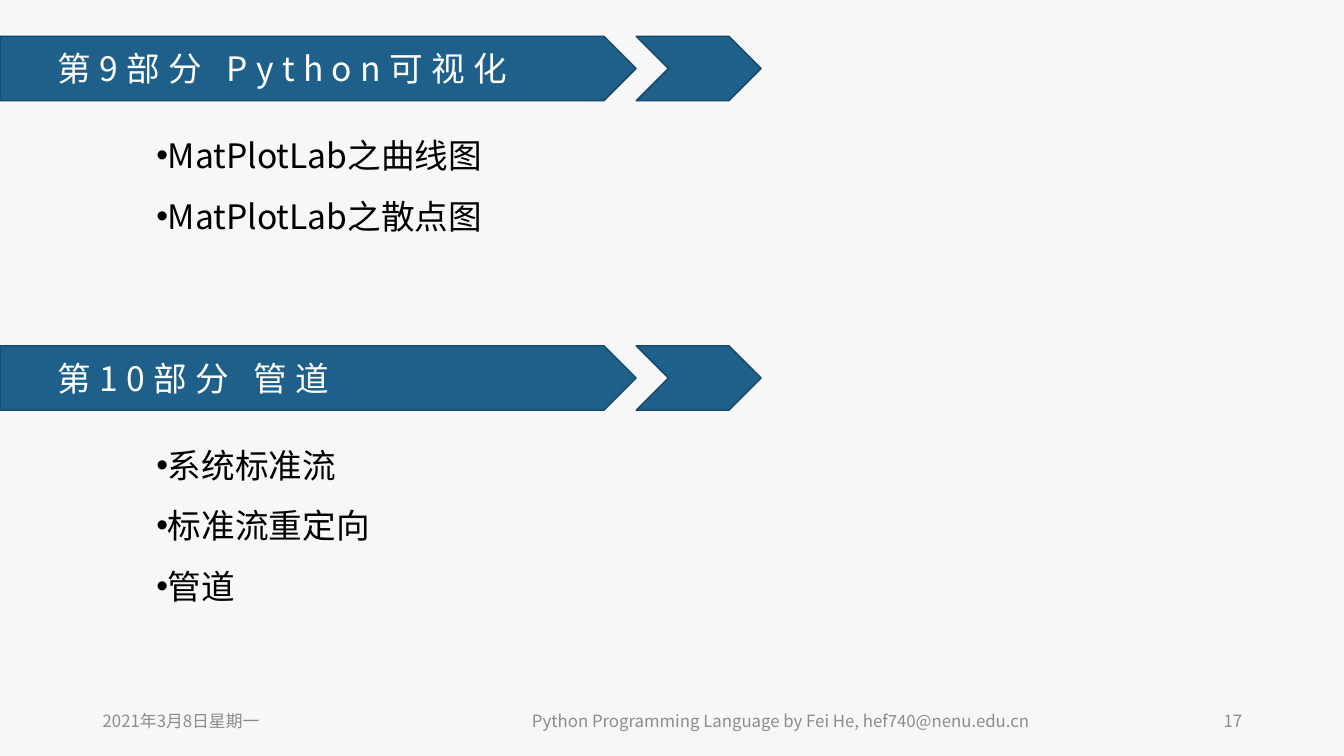
"""Build the outline slide for parts 9 and 10 of a Python course."""
from dataclasses import dataclass

import lxml.etree
import pptx
import pptx.dml.color
import pptx.enum.shapes
import pptx.enum.text
import pptx.oxml.ns
import pptx.util

EMU_PER_PX = 9144
FONT_NAME = "Noto Sans CJK SC"
COLOURS = {
    "background": "F7F7F7",
    "banner": "1F608B",
    "banner_line": "174767",
    "heading": "FFFFFF",
    "body": "000000",
    "footer": "8C8C8C",
}
ALIGN = pptx.enum.text.PP_ALIGN
ANCHOR = pptx.enum.text.MSO_ANCHOR
SHAPE = pptx.enum.shapes.MSO_SHAPE
COMPARISON_LAYOUT = 4
BANNER_WIDTH, CHEVRON_WIDTH, BANNER_HEIGHT = 631, 124, 64
HEADING_INSET = 57
LIST_LEFT, LIST_OFFSET, LIST_WIDTH, LIST_HEIGHT = 145, 73, 372, 207
BULLET_INDENT = -31
FOOTER_TOP, FOOTER_HEIGHT = 695, 40


@dataclass(frozen=True)
class Section:
    top: int
    heading: str
    topics: tuple[str, ...]
    heading_index: int
    list_index: int


@dataclass(frozen=True)
class FooterItem:
    left: int
    width: int
    text: str
    alignment: ALIGN


SECTIONS = (
    Section(36, "第9部分 Python可视化", ("MatPlotLab之曲线图", "MatPlotLab之散点图"), 0, 2),
    Section(343, "第10部分 管道", ("系统标准流", "标准流重定向", "管道"), 3, 4),
)
FOOTER_ITEMS = (
    FooterItem(92, 300, "2021年3月8日星期一", ALIGN.LEFT),
    FooterItem(442, 665, "Python Programming Language by Fei He, hef740@nenu.edu.cn", ALIGN.CENTER),
    FooterItem(942, 300, "17", ALIGN.RIGHT),
)


def px(length: int) -> pptx.util.Emu:
    return pptx.util.Emu(length * EMU_PER_PX)


def rgb(name: str) -> pptx.dml.color.RGBColor:
    return pptx.dml.color.RGBColor.from_string(COLOURS[name])


def place(shape, left: int, top: int, width: int, height: int) -> None:
    shape.left, shape.top = px(left), px(top)
    shape.width, shape.height = px(width), px(height)


def add_bullet(paragraph) -> None:
    properties = paragraph._p.get_or_add_pPr()
    properties.set("marL", "0")
    properties.set("indent", str(px(BULLET_INDENT)))
    bullet = lxml.etree.SubElement(properties, pptx.oxml.ns.qn("a:buChar"))
    bullet.set("char", "•")


def write_text(shape, *lines: str, size: int, colour: str, alignment=ALIGN.LEFT,
               anchor=ANCHOR.MIDDLE, line_spacing: float = 1.0, letter_spacing: int = 0,
               left_inset: int = 10, bulleted: bool = False) -> None:
    frame = shape.text_frame
    frame.word_wrap = True
    frame.auto_size = pptx.enum.text.MSO_AUTO_SIZE.NONE
    frame.vertical_anchor = anchor
    frame.margin_left = px(left_inset)
    for number, line in enumerate(lines):
        paragraph = frame.add_paragraph() if number else frame.paragraphs[0]
        if bulleted:
            add_bullet(paragraph)
        paragraph.alignment = alignment
        paragraph.line_spacing = line_spacing
        paragraph.space_before = pptx.util.Pt(0)
        run = paragraph.add_run()
        run.text = line
        run.font.size = pptx.util.Pt(size)
        run.font.bold = False
        run.font.name = FONT_NAME
        run.font.color.rgb = rgb(colour)
        properties = run._r.get_or_add_rPr()
        properties.set("spc", str(letter_spacing * 100))
        east_asian = lxml.etree.SubElement(properties, pptx.oxml.ns.qn("a:ea"))
        east_asian.set("typeface", FONT_NAME)


def add_banner_shape(slide, kind, left: int, top: int, width: int) -> None:
    shape = slide.shapes.add_shape(kind, px(left), px(top), px(width), px(BANNER_HEIGHT))
    shape.shadow.inherit = False
    shape.fill.solid()
    shape.fill.fore_color.rgb = rgb("banner")
    shape.line.color.rgb = rgb("banner_line")
    shape.line.width = pptx.util.Pt(1)


def add_section(slide, section: Section, placeholders: dict) -> None:
    add_banner_shape(slide, SHAPE.PENTAGON, 0, section.top, BANNER_WIDTH)
    add_banner_shape(slide, SHAPE.CHEVRON, BANNER_WIDTH, section.top, CHEVRON_WIDTH)

    heading = placeholders[section.heading_index]
    slide.shapes._spTree.append(heading._element)
    place(heading, 0, section.top, BANNER_WIDTH, BANNER_HEIGHT)
    write_text(heading, section.heading, size=24, colour="heading",
               letter_spacing=6, left_inset=HEADING_INSET)

    topics = placeholders[section.list_index]
    place(topics, LIST_LEFT, section.top + LIST_OFFSET, LIST_WIDTH, LIST_HEIGHT)
    write_text(topics, *section.topics, size=24, colour="body", anchor=ANCHOR.TOP,
               line_spacing=1.5, bulleted=True)


def add_footer_item(slide, item: FooterItem) -> None:
    box = slide.shapes.add_textbox(px(item.left), px(FOOTER_TOP), px(item.width), px(FOOTER_HEIGHT))
    write_text(box, item.text, size=12, colour="footer", alignment=item.alignment)


def main() -> None:
    presentation = pptx.Presentation()
    presentation.slide_width, presentation.slide_height = px(1333), px(750)
    slide = presentation.slides.add_slide(presentation.slide_layouts[COMPARISON_LAYOUT])
    slide.background.fill.solid()
    slide.background.fill.fore_color.rgb = rgb("background")
    placeholders = {shape.placeholder_format.idx: shape for shape in slide.placeholders}
    for section in SECTIONS:
        add_section(slide, section, placeholders)
    for item in FOOTER_ITEMS:
        add_footer_item(slide, item)
    for placeholder in placeholders.values():
        if not placeholder.text_frame.text:
            slide.shapes._spTree.remove(placeholder._element)
    presentation.save("out.pptx")


if __name__ == "__main__":
    main()
